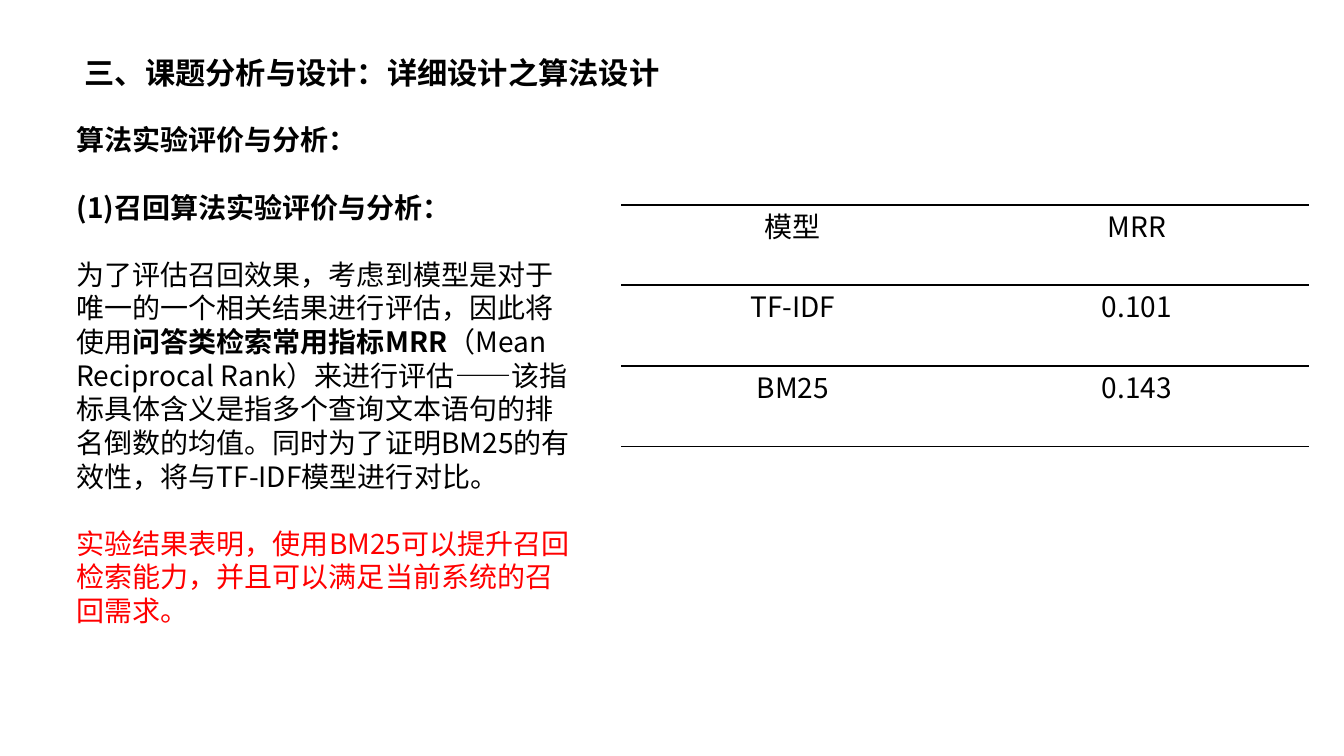
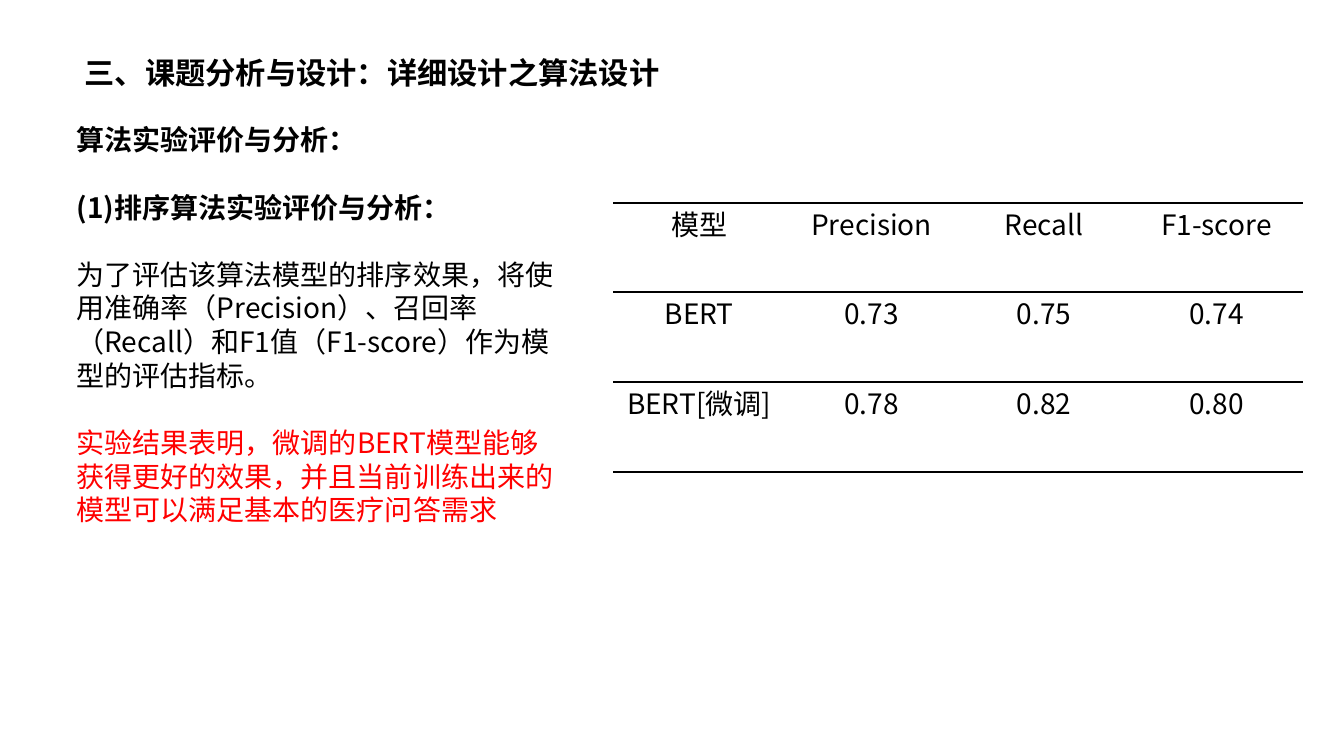
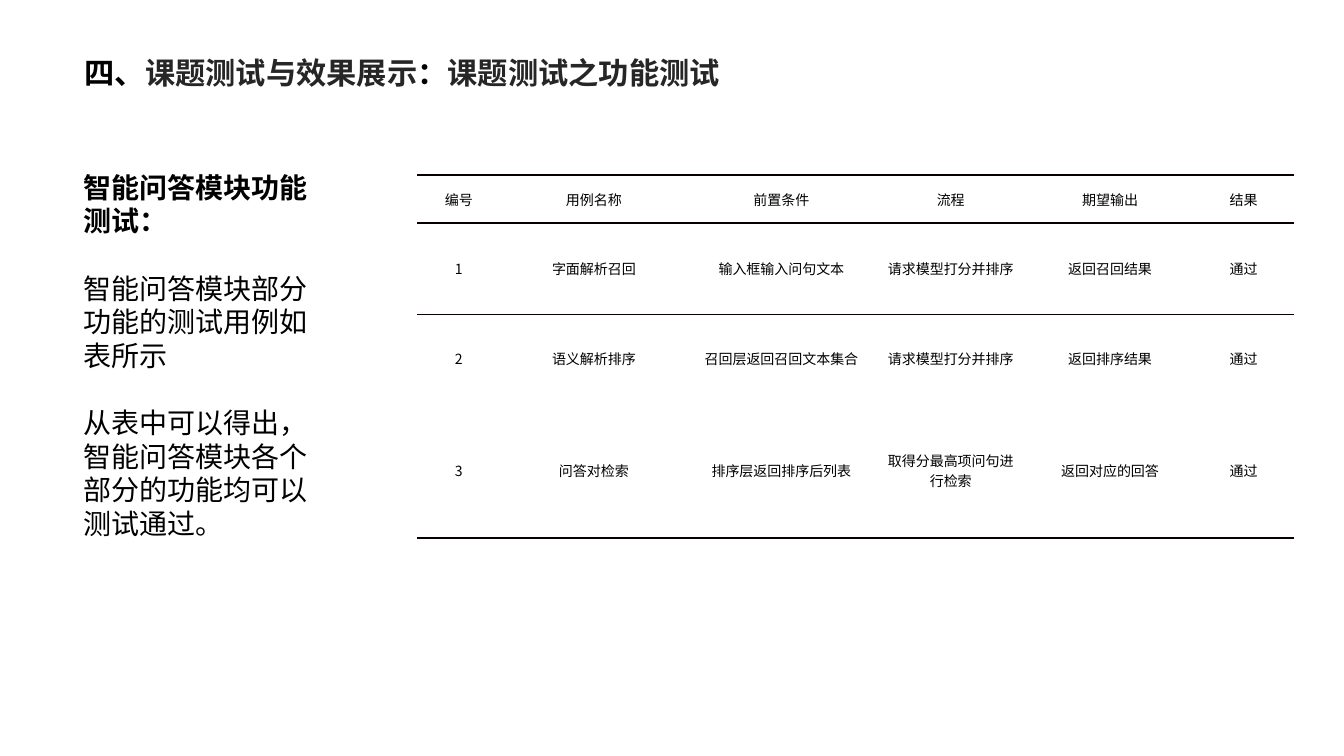
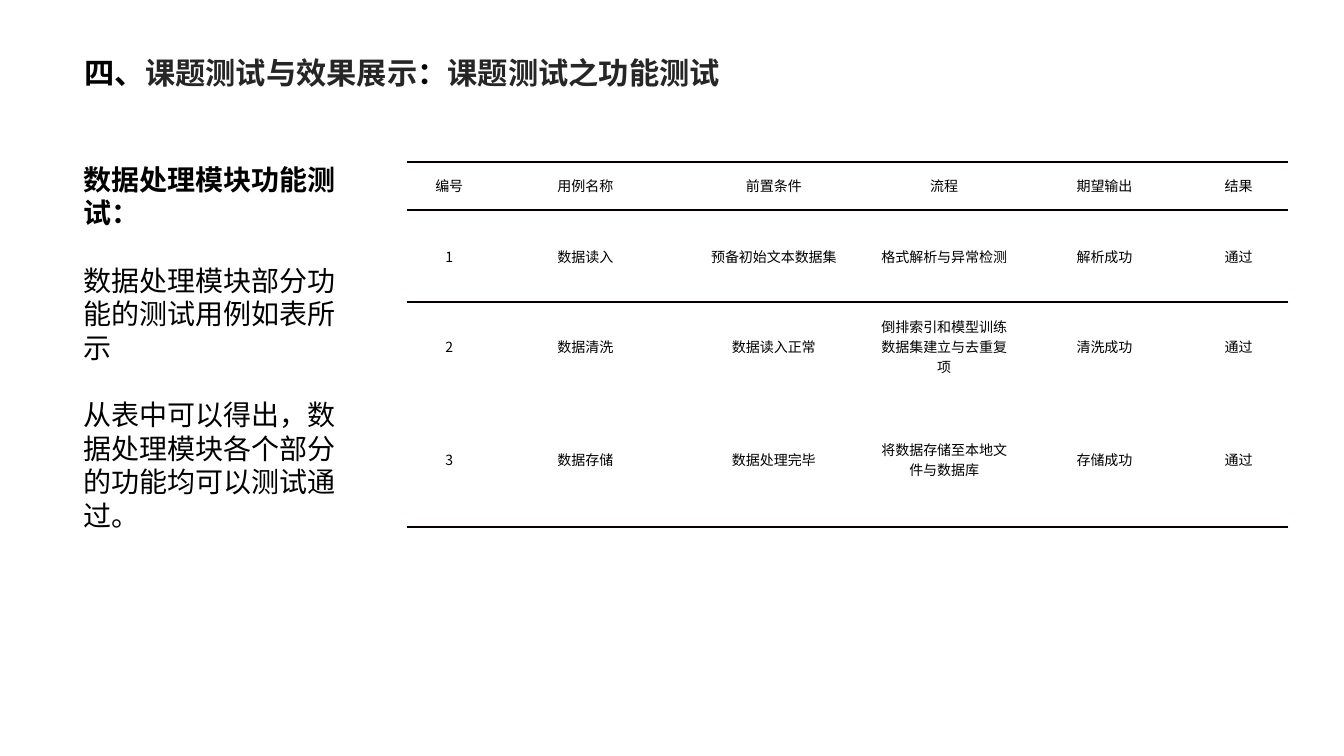
from lxml.etree import SubElement
from pptx import Presentation
from pptx.dml.color import RGBColor
from pptx.enum.text import MSO_ANCHOR, MSO_AUTO_SIZE, PP_ALIGN
from pptx.oxml.ns import qn
from pptx.util import Pt

PX = 9144  # EMU in one px, 100 px to the inch
HUES = {"ink": "000000", "soft": "262626", "red": "FF0000", "rule": "080000"}
SANS = "Noto Sans CJK SC"
PLAIN = "{2D5ABB26-0587-4C30-8999-92F81FD0307C}"  # table style without grid
HEAD_BOX = (73, 48, 1187, 48)


def emu(*sizes):
    return [size * PX for size in sizes]


def rgb(hue):
    return RGBColor.from_string(HUES[hue])


# Text: a run is (words, bold, hue)
def write(para, runs, size, face=SANS):
    for words, _, _ in runs:
        para.add_run().text = words
    font = para.font
    font.size, font.name = Pt(size), face
    SubElement(para._p.pPr.find(qn("a:defRPr")), qn("a:ea"), typeface=SANS)
    bolds = {bold for _, bold, _ in runs}
    hues = {hue for _, _, hue in runs}
    if len(bolds) == 1:
        font.bold = runs[0][1]
    if len(hues) == 1:
        font.color.rgb = rgb(runs[0][2])
    for run, (_, bold, hue) in zip(para.runs, runs):
        if len(bolds) > 1:
            run.font.bold = bold
        if len(hues) > 1:
            run.font.color.rgb = rgb(hue)


def add_head(slide, runs):
    frame = slide.shapes.add_textbox(*emu(*HEAD_BOX)).text_frame
    frame.word_wrap = True
    frame.vertical_anchor = MSO_ANCHOR.MIDDLE
    frame.margin_left, frame.margin_right = emu(11, 8)
    frame.margin_top, frame.margin_bottom = emu(4, 4)
    write(frame.paragraphs[0], runs, 21.6, "Arial")


def add_body(slide, box, paras):
    frame = slide.shapes.add_textbox(*emu(*box)).text_frame
    frame.word_wrap = True
    frame.auto_size = MSO_AUTO_SIZE.SHAPE_TO_FIT_TEXT
    for i, runs in enumerate(paras):
        para = frame.add_paragraph() if i else frame.paragraphs[0]
        para.line_spacing = Pt(24)
        if i:
            para.space_before = Pt(24)
        write(para, runs, 20)


# Tables: ruled above, below the head row and at the foot
def add_rule(cell, side, hue):
    line = SubElement(cell._tc.get_or_add_tcPr(), qn("a:" + side), w=str(Pt(1.5)))
    fill = SubElement(line, qn("a:solidFill"))
    SubElement(fill, qn("a:srgbClr"), val=HUES[hue])


def add_grid(slide, spot, wide, high, data, size, anchor, hue):
    box = (*spot, sum(wide), sum(high))
    table = slide.shapes.add_table(len(high), len(wide), *emu(*box)).table
    table.first_row = table.horz_banding = False
    table._tbl.tblPr.find(qn("a:tableStyleId")).text = PLAIN
    for col, width in zip(table.columns, wide):
        col.width = width * PX
    for r, (row, height) in enumerate(zip(table.rows, high)):
        row.height = height * PX
        for cell, words in zip(row.cells, data[r]):
            cell.margin_left, cell.margin_right = emu(7, 7)
            cell.margin_top = cell.margin_bottom = 0
            cell.vertical_anchor = anchor
            if r < 2:
                add_rule(cell, "lnT", hue)
            if r == len(high) - 1:
                add_rule(cell, "lnB", hue)
            cell.fill.background()
            para = cell.text_frame.paragraphs[0]
            para.alignment = PP_ALIGN.CENTER
            write(para, [(words, False, "ink")], size)


# Slide types
def add_score(slide, kind, box, runs, close, spot, wide, high, data):
    add_head(slide, [("三、课题分析与设计：详细设计之算法设计", True, "ink")])
    add_body(slide, box, [
        [("算法实验评价与分析：", True, "ink")],
        [(f"(1){kind}算法实验评价与分析：", True, "ink")],
        runs,
        [(close, False, "red")],
    ])
    add_grid(slide, spot, wide, high, data, 20, MSO_ANCHOR.TOP, "ink")


def add_test(slide, name, box, spot, wide, high, cases):
    add_head(slide, [
        ("四、", True, "ink"),
        ("课题测试与效果展示", True, "soft"),
        ("：", True, "ink"),
        ("课题测试之功能测试", True, "soft"),
    ])
    add_body(slide, box, [
        [(f"{name}模块功能测试：", True, "ink")],
        [(f"{name}模块部分功能的测试用例如表所示", False, "ink")],
        [(f"从表中可以得出，{name}模块各个部分的功能均可以测试通过。", False, "ink")],
    ])
    data = [("编号", "用例名称", "前置条件", "流程", "期望输出", "结果")]
    data += [(str(n), *case, "通过") for n, case in enumerate(cases, 1)]
    add_grid(slide, spot, wide, high, data, 10, MSO_ANCHOR.MIDDLE, "rule")


def main():
    deck = Presentation()
    deck.slide_width, deck.slide_height = emu(1333, 750)

    def page():
        return deck.slides.add_slide(deck.slide_layouts[6])

    # Recall scores
    add_score(
        page(), "召回", (66, 117, 511, 549),
        [
            ("为了评估召回效果，考虑到模型是对于唯一的一个相关结果进行评估，因此将使用",
             False, "ink"),
            ("问答类检索常用指标MRR", True, "ink"),
            ("（Mean Reciprocal Rank）来进行评估——该指标具体含义是指多个查询文本语句的"
             "排名倒数的均值。同时为了证明BM25的有效性，将与TF-IDF模型进行对比。",
             False, "ink"),
        ],
        "实验结果表明，使用BM25可以提升召回检索能力，并且可以满足当前系统的召回需求。",
        (616, 203), [341] * 2, [80] * 3,
        [("模型", "MRR"), ("TF-IDF", "0.101"), ("BM25", "0.143")])

    # Ranking scores
    add_score(
        page(), "排序", (66, 117, 497, 414),
        [("为了评估该算法模型的排序效果，将使用准确率（Precision）、召回率（Recall）"
          "和F1值（F1-score）作为模型的评估指标。", False, "ink")],
        "实验结果表明，微调的BERT模型能够获得更好的效果，"
        "并且当前训练出来的模型可以满足基本的医疗问答需求",
        (608, 201), [171] * 4, [89] * 3,
        [("模型", "Precision", "Recall", "F1-score"),
         ("BERT", "0.73", "0.75", "0.74"),
         ("BERT[微调]", "0.78", "0.82", "0.80")])

    # Tests of the answer module
    add_test(
        page(), "智能问答", (73, 164, 253, 380), (414, 174),
        [82, 186, 186, 150, 166, 99], [47, 91, 88, 134],
        [("字面解析召回", "输入框输入问句文本", "请求模型打分并排序", "返回召回结果"),
         ("语义解析排序", "召回层返回召回文本集合", "请求模型打分并排序", "返回排序结果"),
         ("问答对检索", "排序层返回排序后列表", "取得分最高项问句进行检索", "返回对应的回答")])

    # Tests of the data module
    add_test(
        page(), "数据处理", (73, 156, 295, 380), (404, 161),
        [83, 187, 187, 151, 167, 99], [47, 92, 88, 135],
        [("数据读入", "预备初始文本数据集", "格式解析与异常检测", "解析成功"),
         ("数据清洗", "数据读入正常", "倒排索引和模型训练数据集建立与去重复项", "清洗成功"),
         ("数据存储", "数据处理完毕", "将数据存储至本地文件与数据库", "存储成功")])

    deck.save("out.pptx")


if __name__ == "__main__":
    main()
